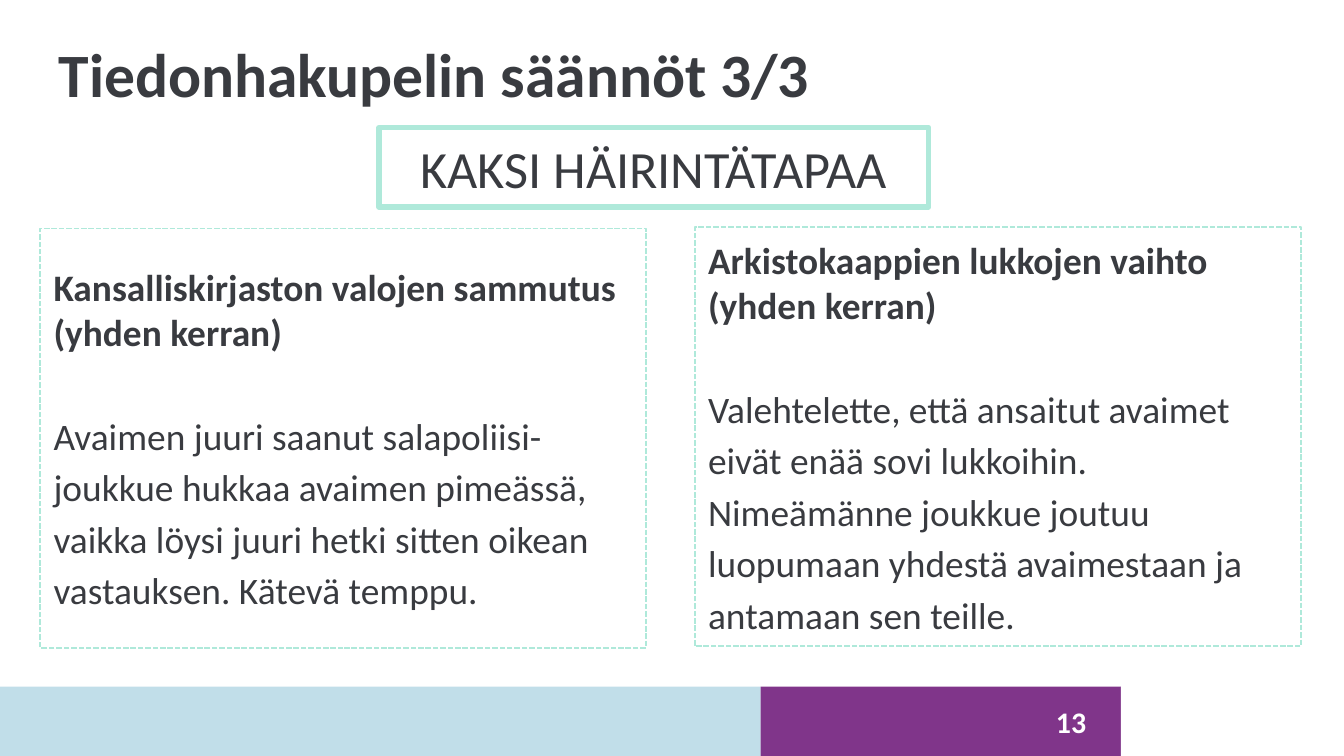
from pptx import Presentation
from pptx.dml.color import RGBColor
from pptx.enum import dml, shapes, text
from pptx.util import Inches, Pt

# Content
TITLE = "Tiedonhakupelin säännöt 3/3"
HEADING = "KAKSI HÄIRINTÄTAPAA"
PAGE = "13"
CARDS = [  # top, bold lines, body
    (1.7, ["Kansalliskirjaston valojen sammutus (yhden kerran)"],
     "Avaimen juuri saanut salapoliisi-joukkue hukkaa avaimen pimeässä, "
     "vaikka löysi juuri hetki sitten oikean vastauksen. Kätevä temppu."),
    (1.69, ["Arkistokaappien lukkojen vaihto", "(yhden kerran)"],
     "Valehtelette, että ansaitut avaimet eivät enää sovi lukkoihin. "
     "Nimeämänne joukkue joutuu luopumaan yhdestä avaimestaan ja "
     "antamaan sen teille."),
]

# Look and grid
FONT, INK, MINT, WHITE = "Calibri", "393B40", "AFE9DA", "FFFFFF"
W = 10
H = W * 9 / 16
FOOTER_TOP = 5.11
BANDS = [("C1DEE9", 5.66), ("80358A", 2.68), (WHITE, 1.66)]  # colour, width
CARD_LEFT, CARD_W, CARD_H, GAP = 0.3, 4.51, 3.12, 0.36
LEFT, CENTER, RIGHT = (text.PP_ALIGN.LEFT, text.PP_ALIGN.CENTER,
                       text.PP_ALIGN.RIGHT)


def rgb(value):
    return RGBColor.from_string(value)


def add_box(s, x, y, w, h, fill=None, line=None, width=1, dash=None):
    sp = s.shapes.add_shape(shapes.MSO_SHAPE.RECTANGLE,
                            *map(Inches, (x, y, w, h)))
    sp.shadow.inherit = False
    if fill:
        sp.fill.solid()
        sp.fill.fore_color.rgb = rgb(fill)
    else:
        sp.fill.background()
    if line:
        sp.line.color.rgb = rgb(line)
        sp.line.width = Pt(width)
        if dash:
            sp.line.dash_style = dash
    else:
        sp.line.fill.background()
    return sp


def write(sp, paragraphs, align=LEFT, anchor=text.MSO_ANCHOR.MIDDLE):
    """Each paragraph: text, size, bold, colour, line spacing, space before."""
    tf = sp.text_frame
    tf.word_wrap = True
    tf.vertical_anchor = anchor
    tf.margin_left = tf.margin_right = Inches(0.1)
    tf.margin_top = tf.margin_bottom = Inches(0.1)
    tf.text = "\n".join(item[0] for item in paragraphs)
    for p, (_, size, bold, color, spacing, before) in zip(tf.paragraphs,
                                                          paragraphs):
        p.alignment = align
        p.line_spacing = spacing
        p.space_before = Pt(before)
        for r in p.runs:
            r.font.name, r.font.size, r.font.bold = FONT, Pt(size), bold
            r.font.color.rgb = rgb(color)


prs = Presentation()
prs.slide_width, prs.slide_height = Inches(W), Inches(H)
s = prs.slides.add_slide(prs.slide_layouts[6])

# Footer bands and page number
x = 0
for color, width in BANDS:
    add_box(s, x, FOOTER_TOP, width, H - FOOTER_TOP, fill=color)
    x += width
number = s.shapes.add_textbox(*map(Inches, (7.71, 5.21, 0.47, 0.32)))
write(number, [(PAGE, 16, True, WHITE, 1, 0)], RIGHT)

# Title and heading
title = s.shapes.add_textbox(*map(Inches, (0.34, 0.23, 9.04, 0.88)))
write(title, [(TITLE, 33, True, INK, 0.9, 0)], anchor=text.MSO_ANCHOR.TOP)
heading = add_box(s, 2.82, 0.95, 4.09, 0.59, line=MINT, width=3)
write(heading, [(HEADING, 28, False, INK, 1, 0)], CENTER)

# Two cards side by side
for i, (top, heads, body) in enumerate(CARDS):
    card = add_box(s, CARD_LEFT + i * (CARD_W + GAP), top, CARD_W, CARD_H,
                   line=MINT, dash=dml.MSO_LINE.SQUARE_DOT)
    write(card, [(head, 20, True, INK, 1, 0) for head in heads]
          + [(body, 20, False, INK, 1.15, 28)])

prs.save("out.pptx")
